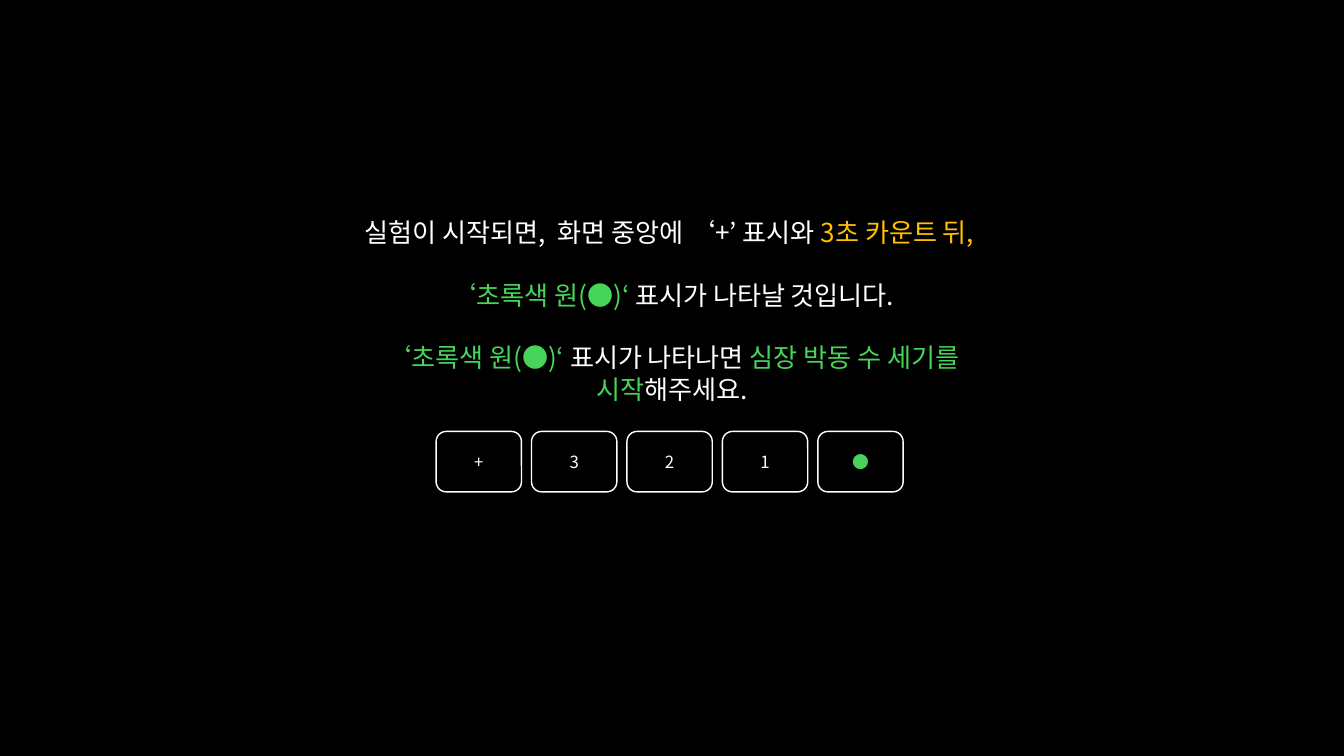
from lxml import etree
from pptx import Presentation
from pptx import util as u
from pptx.dml.color import RGBColor
from pptx.enum import shapes, text
from pptx.oxml import ns

BLACK = RGBColor(0x00, 0x00, 0x00)
WHITE = RGBColor(0xFF, 0xFF, 0xFF)
GOLD = RGBColor(0xFF, 0xC0, 0x00)
GREEN = RGBColor(0x47, 0xD4, 0x5A)
FONT = "Noto Sans CJK KR"


class Deck:
    """Holds the style and the current slide."""

    def __init__(self, wide, high):
        self.prs = Presentation()
        self.prs.slide_width = u.Inches(wide)
        self.prs.slide_height = u.Inches(high)
        self.slide = self.prs.slides.add_slide(self.prs.slide_layouts[6])
        fill = self.slide.background.fill
        fill.solid()
        fill.fore_color.rgb = BLACK

    def label(self, para, parts, size):
        para.alignment = text.PP_ALIGN.CENTER
        for words, color in parts:
            run = para.add_run()
            run.text = words
            form = {"name": FONT, "size": u.Pt(size)}
            for key, value in form.items():
                setattr(run.font, key, value)
            run.font.color.rgb = color
            # Hangul takes the East Asian font
            asian = etree.SubElement(run._r.get_or_add_rPr(), ns.qn("a:ea"))
            asian.set("typeface", FONT)

    def guide(self, place, lines, size, gap):
        box = self.slide.shapes.add_textbox(*map(u.Inches, place))
        frame = box.text_frame
        frame.word_wrap = True
        for i, parts in enumerate(lines):
            para = frame.add_paragraph() if i else frame.paragraphs[0]
            para.space_before = u.Pt(gap if i else 0)
            self.label(para, parts, size)

    def card(self, place, sign, color):
        box = self.slide.shapes.add_shape(
            shapes.MSO_SHAPE.ROUNDED_RECTANGLE, *map(u.Inches, place))
        box.shadow.inherit = False
        box.fill.solid()
        box.fill.fore_color.rgb = BLACK
        box.line.color.rgb = WHITE
        box.line.width = u.Pt(1.5)
        box.text_frame.vertical_anchor = text.MSO_ANCHOR.MIDDLE
        self.label(box.text_frame.paragraphs[0], [(sign, color)], 18)


def main():
    deck = Deck(20, 11.25)

    # Instructions
    circle = ("‘초록색 원(●)‘ ", GREEN)
    lines = [
        [("실험이 시작되면,  화면 중앙에 ‘+’ 표시와 ", WHITE),
         ("3초 카운트 뒤, ", GOLD)],
        [circle, ("표시가 나타날 것입니다.", WHITE)],
        [circle, ("표시가 나타나면 ", WHITE),
         ("심장 박동 수 세기를 시작", GREEN), ("해주세요.", WHITE)],
    ]
    deck.guide((4.61, 3.17, 10.79, 2.46), lines, size=28, gap=33.5)

    # Countdown cards
    left, wide, gap = 6.49, 1.27, 0.15
    for i, sign in enumerate("+321●"):
        color = GREEN if sign == "●" else WHITE
        deck.card((left + i * (wide + gap), 6.42, wide, 0.9), sign, color)

    deck.prs.save("out.pptx")


if __name__ == "__main__":
    main()
